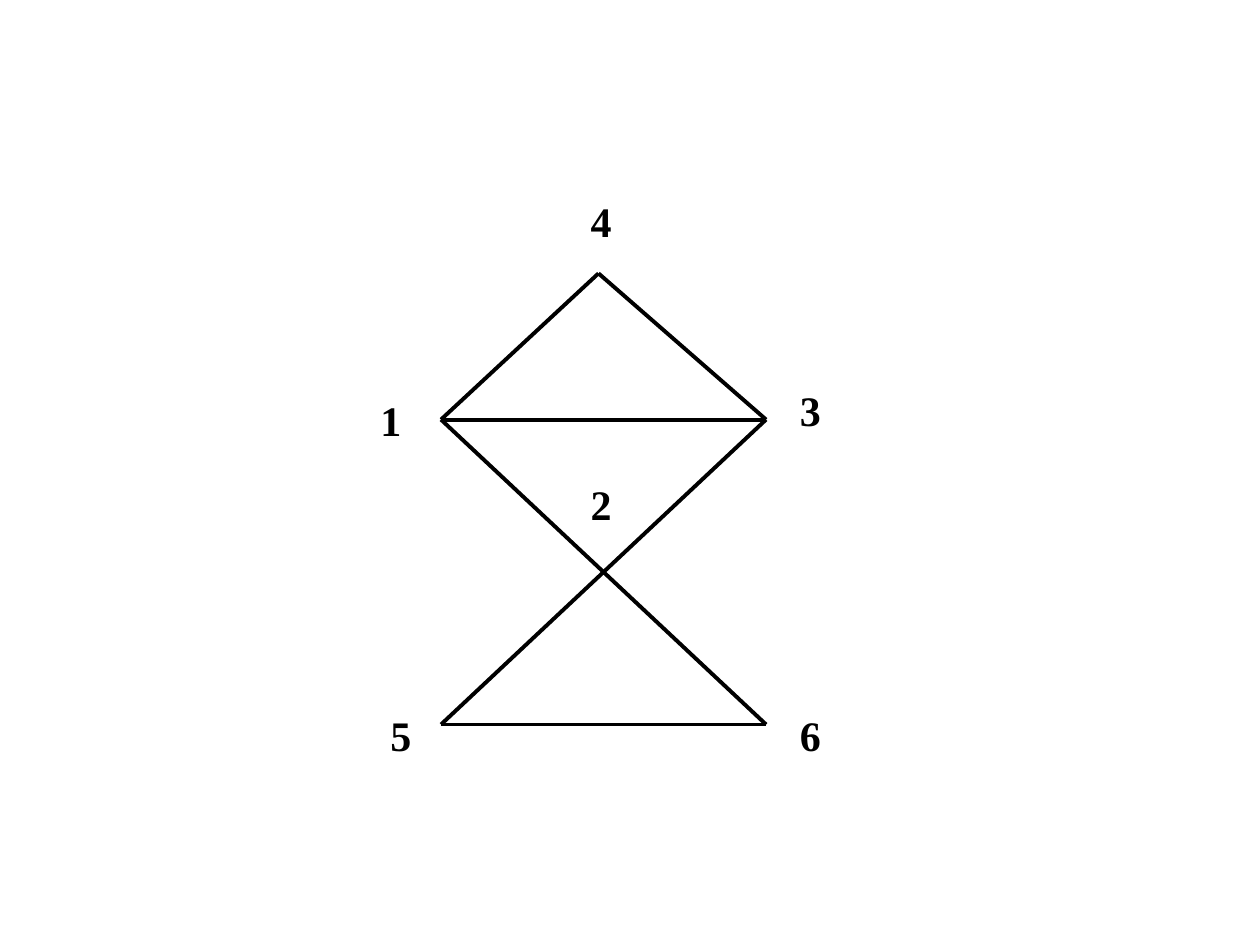
from dataclasses import dataclass

from lxml.etree import SubElement
from pptx import Presentation
from pptx.dml.color import RGBColor
from pptx.enum.shapes import MSO_CONNECTOR
from pptx.enum.text import MSO_AUTO_SIZE
from pptx.oxml.ns import qn
from pptx.util import Inches, Pt


@dataclass(frozen=True)
class Theme:
    ink: RGBColor = RGBColor(0, 0, 0)
    font: str = "Times New Roman"
    label_size: Pt = Pt(24)
    edge_width: Pt = Pt(2.25)


THEME = Theme()

# Corner vertices of the graph; vertex 2 is where edges 1-6 and 3-5 cross
LEFT, RIGHT = 3.5, 6.08
MIDDLE, BOTTOM = 3.33, 5.75
VERTICES = {
    "1": (LEFT, MIDDLE),
    "3": (RIGHT, MIDDLE),
    "4": (4.75, 2.17),
    "5": (LEFT, BOTTOM),
    "6": (RIGHT, BOTTOM),
}
EDGES = ["16", "14", "43", "35", "13", "56"]

# Top left corner of each vertex label
LABELS = {
    "5": (3, 5.58),
    "6": (6.25, 5.58),
    "2": (4.59, 3.75),
    "1": (2.92, 3.08),
    "4": (4.59, 1.5),
    "3": (6.25, 3),
}
LABEL_WIDTH, LABEL_HEIGHT = 0.36, 0.5


def add_edge(shapes, start, end):
    points = [Inches(value) for value in (*start, *end)]
    edge = shapes.add_connector(MSO_CONNECTOR.STRAIGHT, *points)
    edge.line.color.rgb = THEME.ink
    edge.line.width = THEME.edge_width
    SubElement(edge._element.spPr, qn("a:effectLst"))


def add_label(shapes, text, left, top):
    label = shapes.add_textbox(Inches(left), Inches(top),
                               Inches(LABEL_WIDTH), Inches(LABEL_HEIGHT))
    frame = label.text_frame
    frame.word_wrap = False
    frame.auto_size = MSO_AUTO_SIZE.SHAPE_TO_FIT_TEXT
    paragraph = frame.paragraphs[0]
    paragraph.text = text
    paragraph.font.name = THEME.font
    paragraph.font.size = THEME.label_size
    paragraph.font.bold = True
    paragraph.font.color.rgb = THEME.ink


def main():
    presentation = Presentation()
    presentation.slide_width = Inches(10)
    presentation.slide_height = Inches(7.5)
    slide = presentation.slides.add_slide(presentation.slide_layouts[6])
    graph = slide.shapes.add_group_shape().shapes

    # Edges
    for start, end in EDGES:
        add_edge(graph, VERTICES[start], VERTICES[end])

    # Vertex numbers
    for text, (left, top) in LABELS.items():
        add_label(graph, text, left, top)

    presentation.save("out.pptx")


if __name__ == "__main__":
    main()
